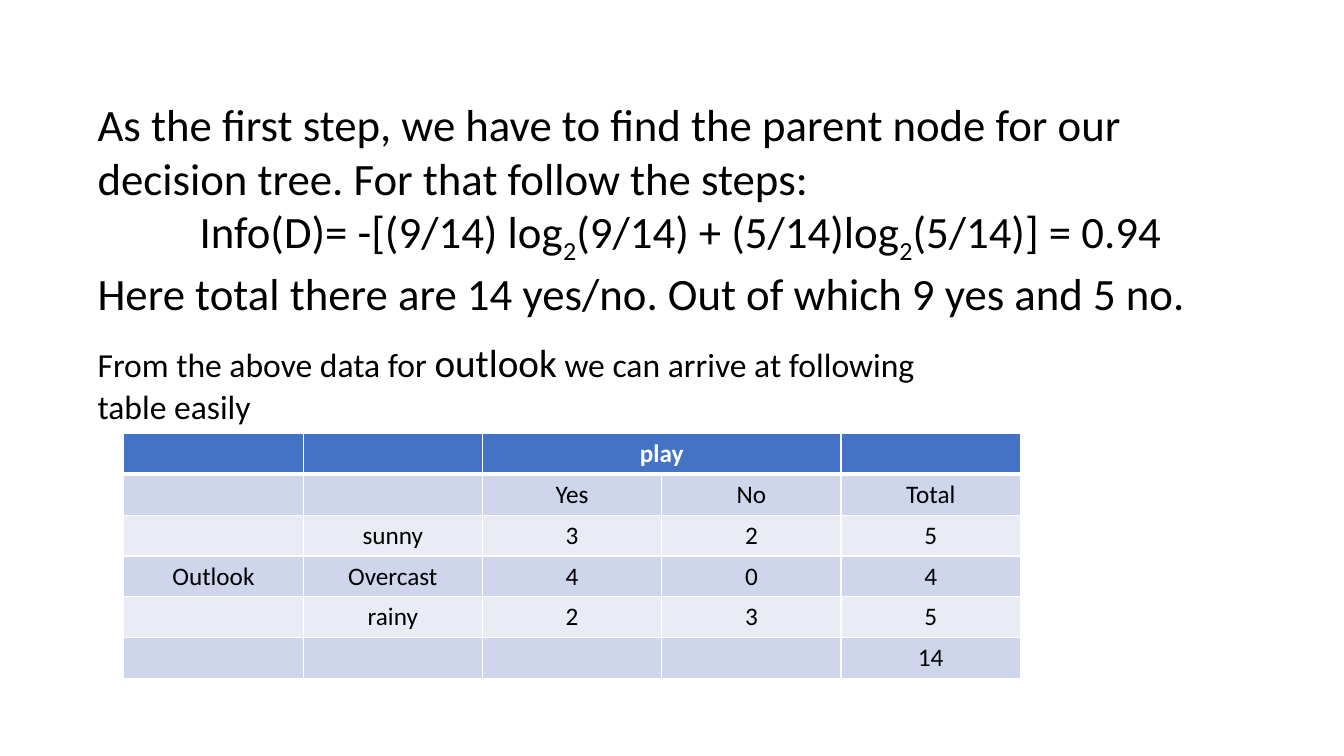
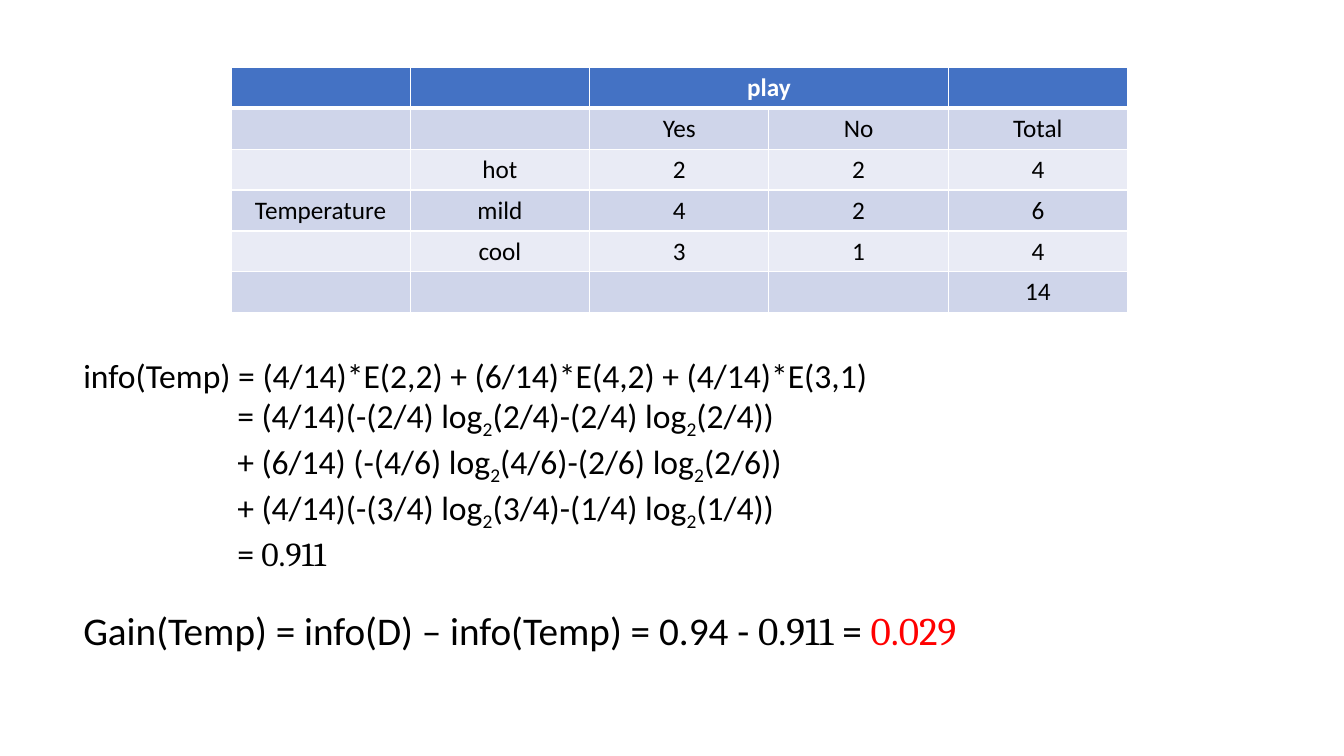
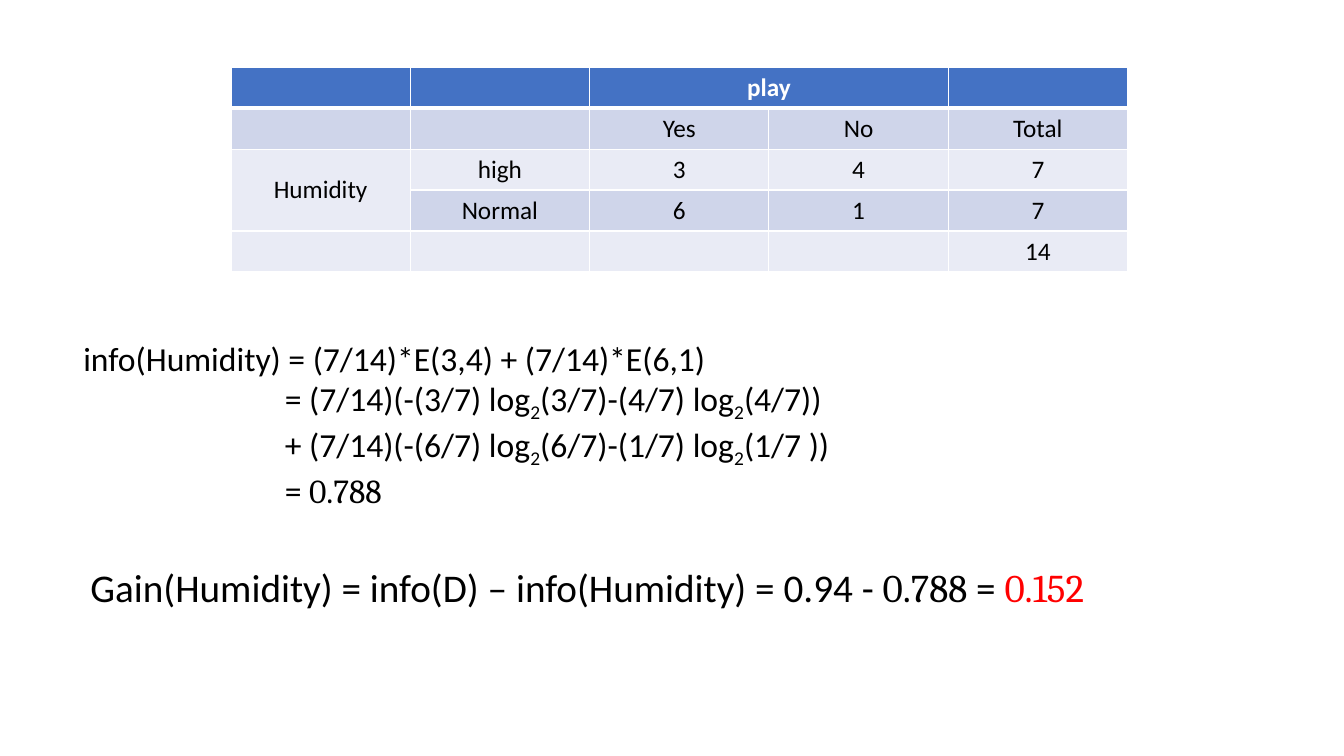
"""Build three slides that work through information gain for a decision tree."""
from lxml.etree import SubElement
from pptx import Presentation
from pptx.dml.color import RGBColor as RGB
from pptx.enum.text import MSO_ANCHOR as ANCHOR, MSO_AUTO_SIZE as AUTO, PP_ALIGN as ALIGN
from pptx.oxml.ns import qn
from pptx.util import Cm, Pt

COLORS = {"black": "000000", "white": "FFFFFF", "red": "FF0000",
          "header": "4472C4", "dark_band": "CFD5EA", "light_band": "E9EBF5"}
STYLES = {
    "plain": {"name": "Calibri", "color": "black", "bold": False},
    "header": {"name": "Calibri", "color": "white", "bold": True},
    "value": {"name": "Cambria", "color": "black"},
    "result": {"name": "Cambria", "color": "red"},
    "large": {"name": "Calibri", "color": "black", "size": Pt(28)},
}
COL_W, ROW_H = Cm(4.52), Cm(1.03)
HEAD_ROWS = [["", "", "play", "", ""], ["", "", "Yes", "No", "Total"]]
TOTAL_ROW = ["", "", "", "", "14"]


def add_runs(p, runs, size):
    """Add (text, style) runs to a paragraph, lowering each ₂ to a subscript 2."""
    for text, style in runs:
        for i, piece in enumerate(text.split("₂")):
            for part, lowered in (("2", True), (piece, False)):
                if not part or (lowered and i == 0):
                    continue
                r = p.add_run()
                r.text = part
                for key, value in {"size": Pt(size), **STYLES[style]}.items():
                    if key == "color":
                        r.font.color.rgb = RGB.from_string(COLORS[value])
                    else:
                        setattr(r.font, key, value)
                if lowered:
                    r.font._element.set("baseline", "-25000")


def add_border(cell, side, width):
    """Draw one white border of a table cell."""
    ln = SubElement(cell._tc.get_or_add_tcPr(), qn(f"a:ln{side}"), w=str(Pt(width)))
    fill = SubElement(ln, qn("a:solidFill"))
    SubElement(fill, qn("a:srgbClr"), val=COLORS["white"])


SLIDES = [
    {
        "table": {
            "at": (3.12, 10.92),
            "rows": [["", "sunny", "3", "2", "5"],
                     ["Outlook", "Overcast", "4", "0", "4"],
                     ["", "rainy", "2", "3", "5"]],
            "merges": [(0, 2, 0, 3)],
        },
        "boxes": [
            {"at": (2.21, 2.31, 29.87, 5.74), "size": 32, "paragraphs": [
                (0, ALIGN.LEFT, [("As the first step, we have to find the parent node for our "
                                  "decision tree. For that follow the steps:", "plain")]),
                (0, ALIGN.CENTER,
                 [("Info(D)= -[(9/14) log₂(9/14) + (5/14)log₂(5/14)] = 0.94", "plain")]),
                (0, ALIGN.LEFT, [("Here total there are 14 yes/no. Out of which 9 yes and 5 no.",
                                  "plain")]),
            ]},
            {"at": (2.21, 8.41, 21.95, 2.49), "size": 24, "paragraphs": [
                (0, ALIGN.LEFT, [("From the above data for ", "plain"), ("outlook", "large"),
                                 (" we can arrive at following table easily", "plain")]),
            ]},
        ],
    },
    {
        "table": {
            "at": (5.82, 1.7),
            "rows": [["", "hot", "2", "2", "4"],
                     ["Temperature", "mild", "4", "2", "6"],
                     ["", "cool", "3", "1", "4"]],
            "merges": [(0, 2, 0, 3)],
        },
        "boxes": [
            {"at": (1.85, 8.81, 30.63, 5.38), "size": 24, "paragraphs": [
                (0, ALIGN.LEFT,
                 [("info(Temp) = (4/14)*E(2,2) + (6/14)*E(4,2) + (4/14)*E(3,1)", "plain")]),
                (3.88, ALIGN.LEFT, [("= (4/14)(-(2/4) log₂(2/4)-(2/4) log₂(2/4))", "plain")]),
                (3.88, ALIGN.LEFT, [("+ (6/14) (-(4/6) log₂(4/6)-(2/6) log₂(2/6))", "plain")]),
                (3.88, ALIGN.LEFT, [("+ (4/14)(-(3/4) log₂(3/4)-(1/4) log₂(1/4))", "plain")]),
                (3.88, ALIGN.LEFT, [("=", "plain"), (" 0.911", "value")]),
            ]},
            {"at": (1.85, 15.16, 29.16, 1.45), "size": 28, "paragraphs": [
                (0, ALIGN.LEFT, [("Gain(Temp) = info(D) – info(Temp) = 0.94 - ", "plain"),
                                 ("0.911", "value"), (" = ", "plain"), ("0.029", "result")]),
            ]},
        ],
    },
    {
        "table": {
            "at": (5.82, 1.7),
            "rows": [["Humidity", "high", "3", "4", "7"],
                     ["", "Normal", "6", "1", "7"]],
            "merges": [(0, 2, 0, 3), (2, 0, 3, 0)],
        },
        "boxes": [
            {"at": (1.85, 8.38, 30.63, 4.37), "size": 24, "paragraphs": [
                (0, ALIGN.LEFT, [("info(Humidity) = (7/14)*E(3,4) + (7/14)*E(6,1)", "plain")]),
                (5.08, ALIGN.LEFT, [("= (7/14)(-(3/7) log₂(3/7)-(4/7) log₂(4/7))", "plain")]),
                (5.08, ALIGN.LEFT, [("+ (7/14)(-(6/7) log₂(6/7)-(1/7) log₂(1/7 ))", "plain")]),
                (5.08, ALIGN.LEFT, [("=", "plain"), (" 0.788", "value")]),
            ]},
            {"at": (2.03, 14.07, 29.16, 1.45), "size": 28, "paragraphs": [
                (0, ALIGN.LEFT, [("Gain(Humidity) = info(D) – info(Humidity) = 0.94 - ", "plain"),
                                 ("0.788", "value"), (" = ", "plain"), ("0.152", "result")]),
            ]},
        ],
    },
]

prs = Presentation()
prs.slide_width, prs.slide_height = Cm(33.87), Cm(19.05)

for content in SLIDES:
    s = prs.slides.add_slide(prs.slide_layouts[6])

    for box in content["boxes"]:
        tf = s.shapes.add_textbox(*map(Cm, box["at"])).text_frame
        tf.word_wrap = True
        tf.auto_size = AUTO.SHAPE_TO_FIT_TEXT
        for i, (indent, align, runs) in enumerate(box["paragraphs"]):
            p = tf.add_paragraph() if i else tf.paragraphs[0]
            p.alignment = align
            if indent:
                p._p.get_or_add_pPr().set("marL", str(Cm(indent)))
            add_runs(p, runs, box["size"])

    spec = content["table"]
    rows = HEAD_ROWS + spec["rows"] + [TOTAL_ROW]
    n_cols = len(TOTAL_ROW)
    left, top = map(Cm, spec["at"])
    table = s.shapes.add_table(len(rows), n_cols, left, top,
                               COL_W * n_cols, ROW_H * len(rows)).table
    for col in table.columns:
        col.width = COL_W
    for i, row in enumerate(rows):
        table.rows[i].height = ROW_H
        band = "header" if i == 0 else "dark_band" if i % 2 else "light_band"
        borders = {"L": 1, "R": 1, "T": 3 if i == 1 else 1, "B": 3 if i == 0 else 1}
        for j, text in enumerate(row):
            cell = table.cell(i, j)
            for side, width in borders.items():
                add_border(cell, side, width)
            cell.fill.solid()
            cell.fill.fore_color.rgb = RGB.from_string(COLORS[band])
            p = cell.text_frame.paragraphs[0]
            p.alignment = ALIGN.CENTER
            add_runs(p, [(text, "header" if i == 0 else "plain")], 18)
    for r1, c1, r2, c2 in spec["merges"]:
        table.cell(r1, c1).merge(table.cell(r2, c2))
        if r2 > r1:
            table.cell(r1, c1).vertical_anchor = ANCHOR.MIDDLE

prs.save("out.pptx")
